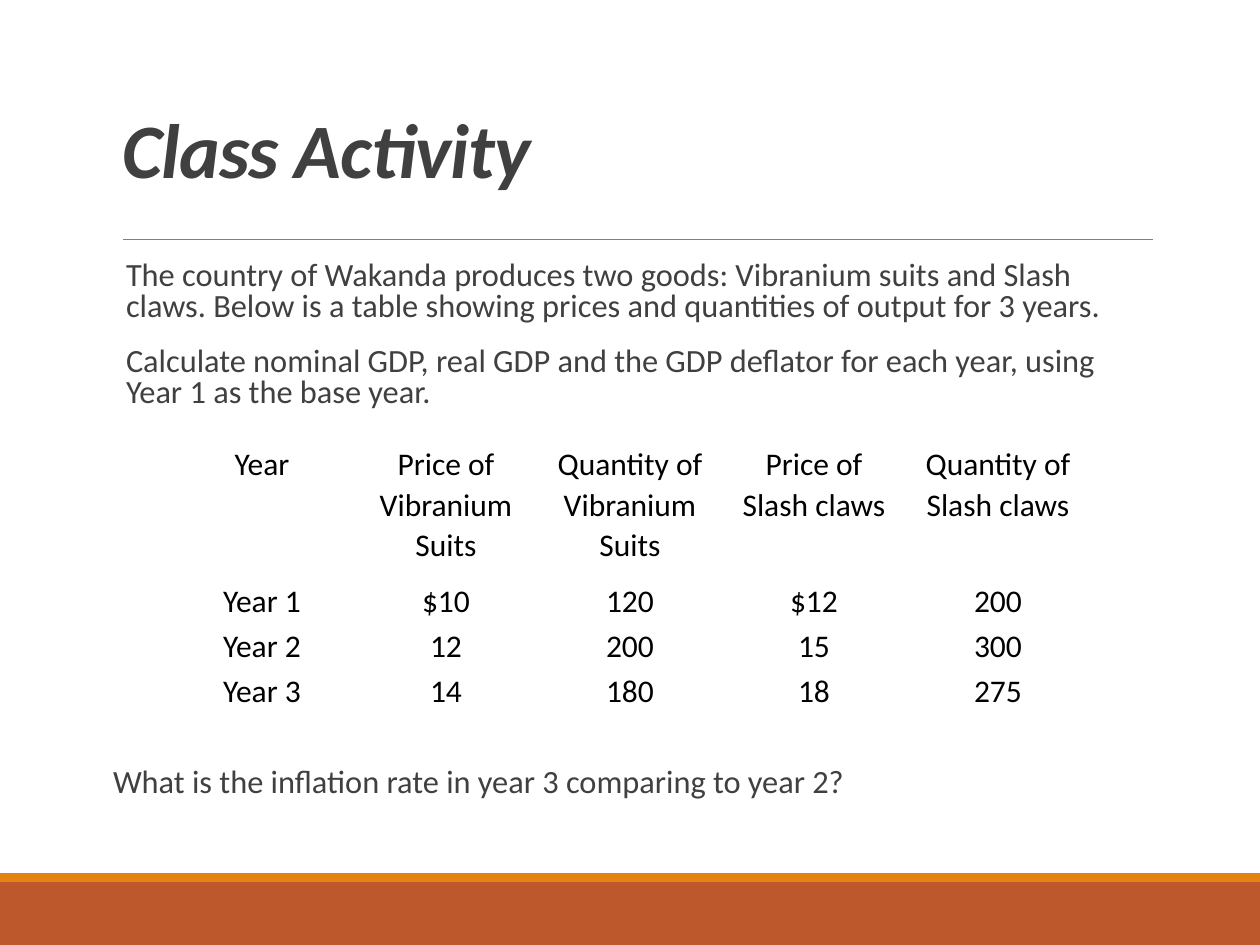
import pptx
import pptx.dml.color
import pptx.enum.shapes
import pptx.enum.text
import pptx.oxml.ns
import pptx.util
from lxml import etree

RGBColor = pptx.dml.color.RGBColor
RUST = RGBColor(0xBD, 0x58, 0x2C)
ORANGE = RGBColor(0xE4, 0x83, 0x12)
GRAY = RGBColor(0x80, 0x80, 0x80)
DARK = RGBColor(0x40, 0x40, 0x40)
BLACK = RGBColor(0, 0, 0)
FONT = "Calibri"
PX_PER_INCH = 126

INSTRUCTIONS = [
    "The country of Wakanda produces two goods: Vibranium suits and Slash claws. "
    "Below is a table showing prices and quantities of output for 3 years.",
    "Calculate nominal GDP, real GDP and the GDP deflator for each year, "
    "using Year 1 as the base year.",
]
QUESTION = "What is the inflation rate in year 3 comparing to year 2?"
OUTPUT_ROWS = [
    ["Year", "Price of Vibranium Suits", "Quantity of Vibranium Suits",
     "Price of Slash claws", "Quantity of Slash claws"],
    ["Year 1", "$10", "120", "$12", "200"],
    ["Year 2", "12", "200", "15", "300"],
    ["Year 3", "14", "180", "18", "275"],
]


def px(length):
    return pptx.util.Emu(round(length * 914400 / PX_PER_INCH))


def style_font(paragraph, size, color):
    paragraph.font.name = FONT
    paragraph.font.size = pptx.util.Pt(size)
    paragraph.font.color.rgb = color


def add_band(slide, top, height, color):
    band = slide.shapes.add_shape(
        pptx.enum.shapes.MSO_SHAPE.RECTANGLE, 0, px(top), px(1260), px(height))
    band.shadow.inherit = False
    band.fill.solid()
    band.fill.fore_color.rgb = color
    band.line.fill.background()


def add_rule(slide, left, right, y):
    rule = slide.shapes.add_connector(
        pptx.enum.shapes.MSO_CONNECTOR.STRAIGHT, px(left), px(y), px(right), px(y))
    rule.line.color.rgb = GRAY
    rule.line.width = pptx.util.Pt(0.5)
    etree.SubElement(rule._element.spPr, pptx.oxml.ns.qn("a:effectLst"))


def add_text_frame(slide, left, top, width, height):
    box = slide.shapes.add_textbox(px(left), px(top), px(width), px(height))
    box.text_frame.word_wrap = True
    return box.text_frame


def add_title(slide, text):
    frame = add_text_frame(slide, 110, 76, 1040, 124)
    frame.vertical_anchor = pptx.enum.text.MSO_ANCHOR.BOTTOM
    paragraph = frame.paragraphs[0]
    run = paragraph.add_run()
    run.text = text
    run._r.get_or_add_rPr().set("spc", "-50")
    paragraph.line_spacing = 0.85
    style_font(paragraph, 44, DARK)
    paragraph.font.bold = True
    paragraph.font.italic = True


def add_body(slide, left, top, width, height, texts):
    frame = add_text_frame(slide, left, top, width, height)
    frame.margin_left = frame.margin_right = 0
    for index, text in enumerate(texts):
        paragraph = frame.add_paragraph() if index else frame.paragraphs[0]
        paragraph.text = text
        paragraph.line_spacing = 0.8
        paragraph.space_before = pptx.util.Pt(12 if index else 0)
        paragraph.space_after = pptx.util.Pt(2)
        style_font(paragraph, 18.5, DARK)


def fill_cell(cell, text):
    cell.fill.background()
    cell.margin_left = cell.margin_right = px(9)
    cell.margin_top = cell.margin_bottom = 0
    paragraph = cell.text_frame.paragraphs[0]
    paragraph.text = text
    paragraph.alignment = pptx.enum.text.PP_ALIGN.CENTER
    paragraph.line_spacing = 1.06
    paragraph.space_after = pptx.util.Pt(8)
    style_font(paragraph, 18, BLACK)


def add_output_table(slide, left, top, column_width, header_height, row_height):
    row_count, column_count = len(OUTPUT_ROWS), len(OUTPUT_ROWS[0])
    table = slide.shapes.add_table(
        row_count, column_count, px(left), px(top), px(column_width * column_count),
        px(header_height + row_height * (row_count - 1))).table
    table.first_row = False
    table.horz_banding = False
    for column in table.columns:
        column.width = px(column_width)
    for row_index, texts in enumerate(OUTPUT_ROWS):
        table.rows[row_index].height = px(row_height if row_index else header_height)
        for column_index, text in enumerate(texts):
            fill_cell(table.cell(row_index, column_index), text)


def main():
    presentation = pptx.Presentation()
    presentation.slide_width = px(1260)
    presentation.slide_height = px(945)
    slide = presentation.slides.add_slide(presentation.slide_layouts[6])
    add_band(slide, 882, 63, RUST)
    add_band(slide, 873, 9, ORANGE)
    add_rule(slide, 123, 1153, 239)
    add_title(slide, "Class Activity")
    add_body(slide, 126, 255, 1027, 170, INSTRUCTIONS)
    add_output_table(slide, 170, 443, 184, 137, 45)
    add_body(slide, 113, 762, 1040, 60, [QUESTION])
    presentation.save("out.pptx")


if __name__ == "__main__":
    main()
